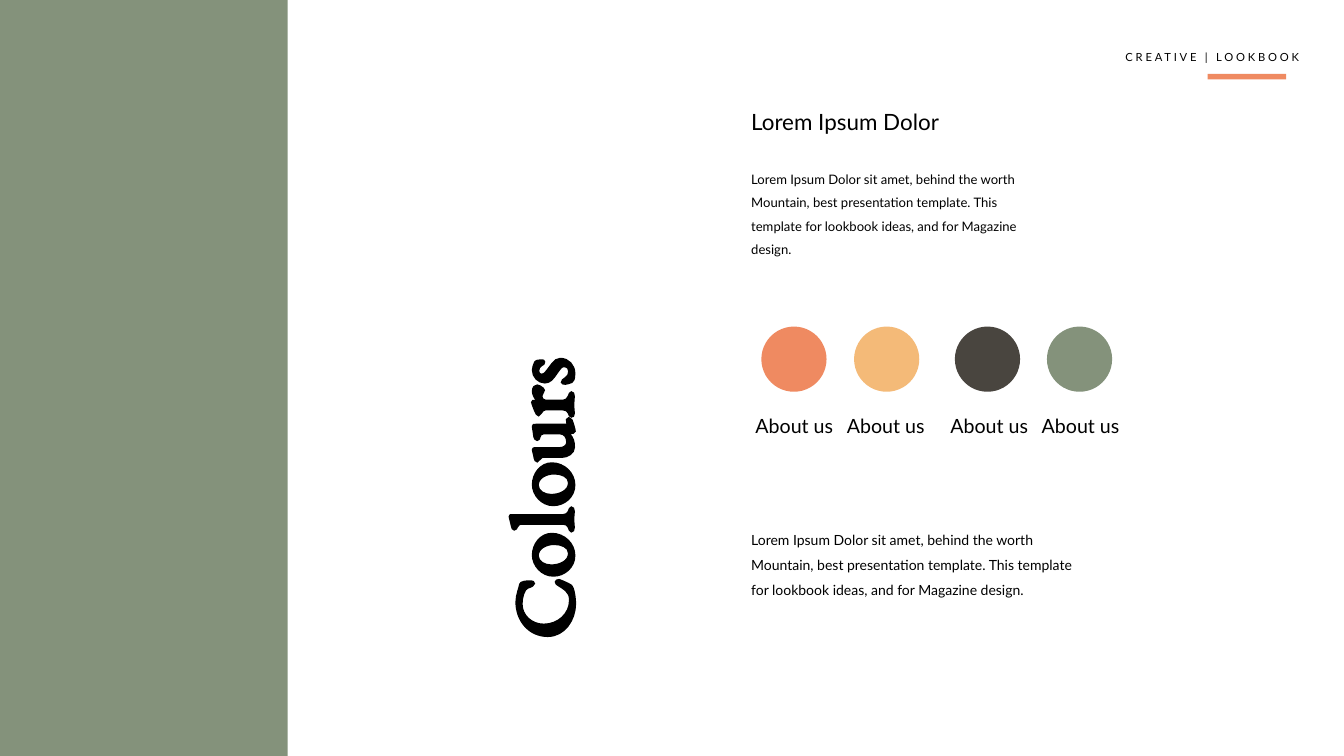
"""Build the Colours palette slide of a lookbook."""
from pptx import Presentation
from pptx import util as u
from pptx.dml import color
from pptx.enum import shapes, text

ORANGE, SAND, CHARCOAL, SAGE = "EF8A61", "F4BA78", "49453F", "84927B"
BODY = ("Lorem Ipsum Dolor sit amet, behind the worth Mountain, best presentation "
        "template. This template for lookbook ideas, and for Magazine design.")


def rgb(value):
    """Turn a hex string into a colour."""
    return color.RGBColor.from_string(value)


class Lookbook:
    """Hold the style and the current slide."""

    ink = "000000"
    body_font = "Lato"
    title_font = "EB Garamond"

    def __init__(self, slide):
        """Start on a slide."""
        self.slide = slide

    def block(self, kind, left, top, width, height, fill):
        """Add a plain filled shape."""
        block = self.slide.shapes.add_shape(
            kind, *map(u.Inches, (left, top, width, height)))
        block.shadow.inherit = False
        block.fill.solid()
        block.fill.fore_color.rgb = rgb(fill)
        block.line.fill.background()

    def set_text(self, holder, wording, size, font, spacing, before=0,
                 align=text.PP_ALIGN.LEFT, bold=False):
        """Fill a text holder with one formatted paragraph."""
        frame = holder.text_frame
        frame.word_wrap = True
        frame.auto_size = text.MSO_AUTO_SIZE.NONE
        frame.vertical_anchor = text.MSO_ANCHOR.TOP
        frame.text = wording
        paragraph = frame.paragraphs[0]
        paragraph.alignment = align
        paragraph.line_spacing = spacing
        paragraph.space_before = u.Pt(before)
        paragraph.font.name = font
        paragraph.font.size = u.Pt(size)
        paragraph.font.bold = bold
        paragraph.font.color.rgb = rgb(self.ink)
        return paragraph

    def label(self, wording, left, top, width, height, size, spacing=0.9, before=10,
              align=text.PP_ALIGN.LEFT, tracking=0):
        """Add a text box in the body font."""
        box = self.slide.shapes.add_textbox(*map(u.Inches, (left, top, width, height)))
        paragraph = self.set_text(box, wording, size, self.body_font, spacing, before, align)
        if tracking:
            paragraph.runs[0].font._element.set("spc", str(tracking * 100))

    def title(self, wording, left, top, width, height, size):
        """Set the title so that it reads upwards."""
        title = self.slide.shapes.title
        title.left, title.top, title.width, title.height = map(
            u.Inches, (left, top, width, height))
        title.rotation = 270
        self.set_text(title, wording, size, self.title_font, 0.9, bold=True)

    def swatch(self, fill, left, label_left):
        """Add a colour circle and its caption."""
        self.block(shapes.MSO_SHAPE.OVAL, left, 4.86, 0.97, 0.97, fill)
        self.label("About us", label_left, 6.15, 1.62, 0.44, 21,
                   align=text.PP_ALIGN.CENTER)


def main():
    """Build and save the slide."""
    deck = Presentation()
    deck.slide_width, deck.slide_height = u.Inches(20), u.Inches(11.25)
    page = Lookbook(deck.slides.add_slide(deck.slide_layouts.get_by_name("Title Only")))

    page.label("CREATIVE | LOOKBOOK", 16.65, 0.72, 3.01, 0.38, 12, tracking=3)
    page.block(shapes.MSO_SHAPE.RECTANGLE, 17.97, 1.1, 1.17, 0.08, ORANGE)
    page.block(shapes.MSO_SHAPE.RECTANGLE, 0, 0, 4.28, 11.25, SAGE)

    page.title("Colours", 5.11, 5.76, 6.04, 1.68, 99)
    page.label("Lorem Ipsum Dolor", 11.08, 1.61, 4.5, 0.67, 24)
    page.label(BODY, 11.08, 2.38, 4.45, 1.92, 14, spacing=1.5, before=0)
    for fill, left, label_left in ((ORANGE, 11.33, 11.01), (SAND, 12.71, 12.37),
                                   (CHARCOAL, 14.21, 13.91), (SAGE, 15.58, 15.27)):
        page.swatch(fill, left, label_left)
    page.label(BODY, 11.08, 7.73, 5.27, 1.41, 15, spacing=1.5, before=0)

    deck.save("out.pptx")


if __name__ == "__main__":
    main()
